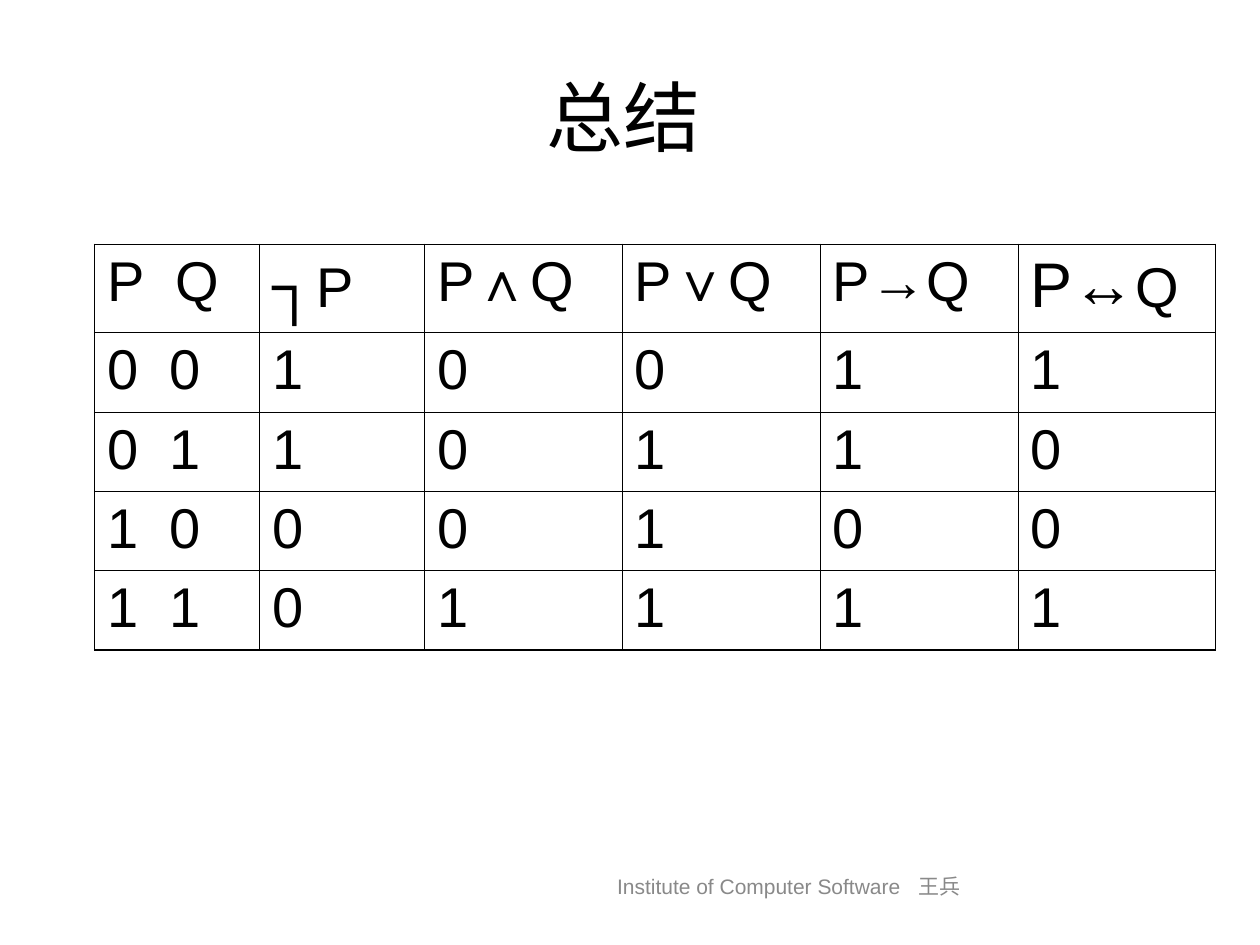
from lxml import etree
from pptx import Presentation
from pptx import util as u
from pptx.dml.color import RGBColor
from pptx.enum import text
from pptx.oxml.ns import qn

INK, GREY = "000000", "898989"
THIN, EDGE = 0.45, 0.96
COLS = [1.31, 1.31, 1.57, 1.57, 1.57, 1.57]
ROWS = [0.7] + [0.63] * 4

# Each header is a list of (text, size) runs
HEAD = [
    [("P Q", 32)],
    [("┐", 36), ("P", 32)],
    [("P∧Q", 32)],
    [("P∨Q", 32)],
    [("P→Q", 32)],
    [("P↔", 36), ("Q", 32)],
]
BODY = [
    ["0 0", "1", "0", "0", "1", "1"],
    ["0 1", "1", "0", "1", "1", "0"],
    ["1 0", "0", "0", "1", "0", "0"],
    ["1 1", "0", "1", "1", "1", "1"],
]


def paint(code):
    return RGBColor.from_string(code)


def write(para, words, size=32, color=INK, align=None, gap=0):
    """Add a run; gap widens its letter spacing, in points."""
    if align is not None:
        para.alignment = align
    run = para.add_run()
    run.text = words
    font = run.font
    font.name, font.size = "Arial", u.Pt(size)
    font.color.rgb = paint(color)
    if gap:
        font._element.set("spc", str(round(gap * 100)))


def spread(para, left, right, gap, **style):
    """Write two words with one widened space between them."""
    write(para, left, **style)
    write(para, " ", gap=gap, **style)
    write(para, right, **style)


def border(cell, sides):
    props = cell._tc.get_or_add_tcPr()
    for side, width in sides.items():
        line = etree.SubElement(props, qn("a:ln" + side), w=str(u.Pt(width)))
        fill = etree.SubElement(line, qn("a:solidFill"))
        etree.SubElement(fill, qn("a:srgbClr"), val=INK)


def add_title(slide, words):
    title = slide.shapes.title
    title.left, title.top = u.Inches(0.5), u.Inches(0.5)
    title.width, title.height = u.Inches(9), u.Inches(1.5)
    frame = title.text_frame
    frame.auto_size = text.MSO_AUTO_SIZE.NONE
    frame.vertical_anchor = text.MSO_ANCHOR.TOP
    frame.margin_left = 0
    write(frame.paragraphs[0], words, size=44, align=text.PP_ALIGN.CENTER)


def add_footer(slide):
    box = slide.shapes.add_textbox(
        u.Inches(2.52), u.Inches(6.83), u.Inches(7.48), u.Inches(0.4))
    frame = box.text_frame
    frame.word_wrap = True
    frame.vertical_anchor = text.MSO_ANCHOR.MIDDLE
    spread(frame.paragraphs[0], "Institute of Computer Software", "王兵",
           gap=6.7, size=12, color=GREY, align=text.PP_ALIGN.CENTER)


def add_truth(slide):
    grid = slide.shapes.add_table(
        len(ROWS), len(COLS), u.Inches(0.75), u.Inches(1.94),
        u.Inches(sum(COLS)), u.Inches(sum(ROWS))).table
    grid.first_row = grid.horz_banding = False
    for col, width in zip(grid.columns, COLS):
        col.width = u.Inches(width)
    for row, height in zip(grid.rows, ROWS):
        row.height = u.Inches(height)

    data = [HEAD] + [[[(value, 32)] for value in row] for row in BODY]
    for r, row in enumerate(data):
        for c, runs in enumerate(row):
            cell = grid.cell(r, c)
            para = cell.text_frame.paragraphs[0]
            for words, size in runs:
                if " " in words:
                    spread(para, *words.split(), gap=8.9, size=size)
                else:
                    write(para, words, size=size)
            # The outer frame is heavier than the inner rules
            border(cell, {
                "L": EDGE if c == 0 else THIN,
                "R": EDGE if c == len(COLS) - 1 else THIN,
                "T": EDGE if r == 0 else THIN,
                "B": EDGE if r == len(ROWS) - 1 else THIN,
            })
            cell.fill.background()


def main():
    deck = Presentation()
    deck.slide_width, deck.slide_height = u.Inches(10), u.Inches(7.5)
    slide = deck.slides.add_slide(deck.slide_layouts[5])
    add_title(slide, "总结")
    add_truth(slide)
    add_footer(slide)
    deck.save("out.pptx")


if __name__ == "__main__":
    main()
